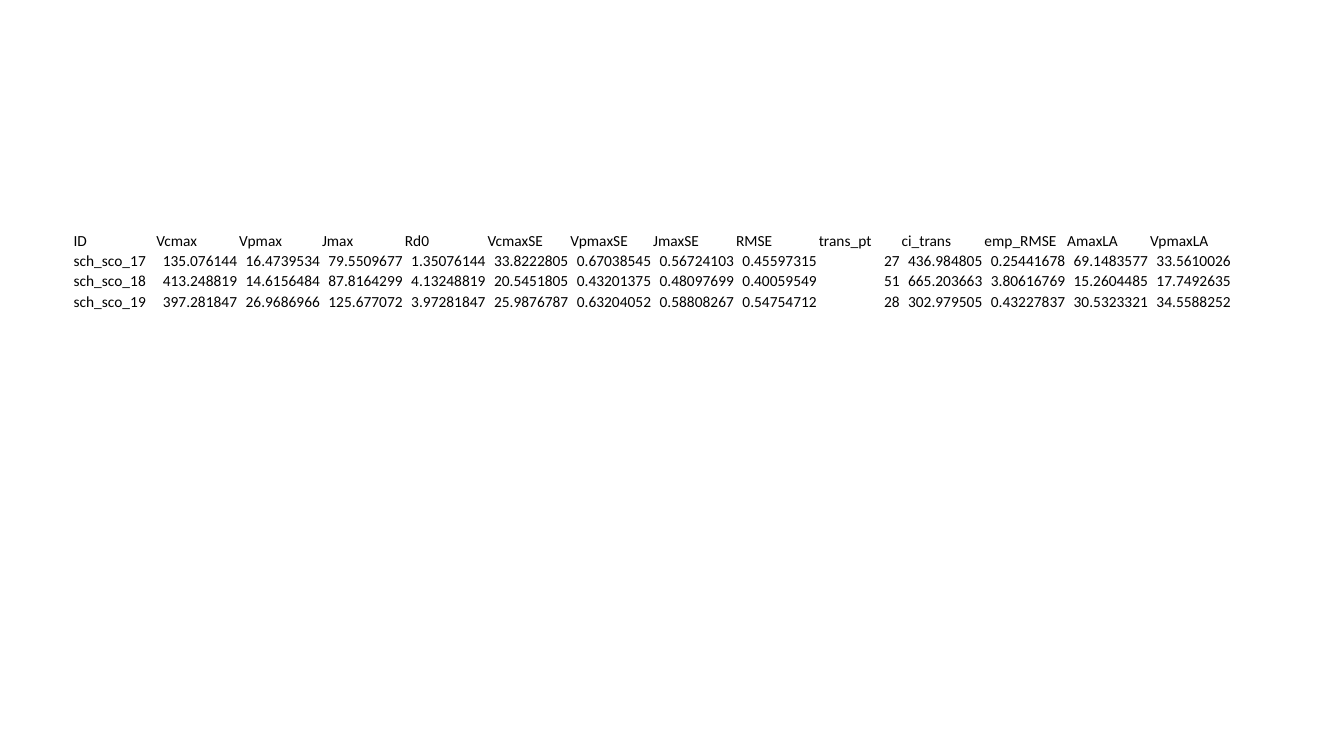
from pptx import Presentation
from pptx.dml.color import RGBColor
from pptx.enum.text import MSO_ANCHOR as Anchor, PP_ALIGN as Align
from pptx.util import Inches, Pt

HEADERS = ["ID", "Vcmax", "Vpmax", "Jmax", "Rd0", "VcmaxSE", "VpmaxSE", "JmaxSE",
           "RMSE", "trans_pt", "ci_trans", "emp_RMSE", "AmaxLA", "VpmaxLA"]
SAMPLES = [
    ["sch_sco_17", "135.076144", "16.4739534", "79.5509677", "1.35076144",
     "33.8222805", "0.67038545", "0.56724103", "0.45597315", "27",
     "436.984805", "0.25441678", "69.1483577", "33.5610026"],
    ["sch_sco_18", "413.248819", "14.6156484", "87.8164299", "4.13248819",
     "20.5451805", "0.43201375", "0.48097699", "0.40059549", "51",
     "665.203663", "3.80616769", "15.2604485", "17.7492635"],
    ["sch_sco_19", "397.281847", "26.9686966", "125.677072", "3.97281847",
     "25.9876787", "0.63204052", "0.58808267", "0.54754712", "28",
     "302.979505", "0.43227837", "30.5323321", "34.5588252"],
]
COLORS = {"text": "000000"}
FONT = "Calibri"
LEFT, TOP, WIDTH, HEIGHT = Inches(0.72), Inches(2.28), Inches(11.5), Inches(0.81)


def write_cell(cell, text, align=Align.LEFT, size=11, color="text"):
    cell.fill.background()
    cell.vertical_anchor = Anchor.BOTTOM
    cell.margin_left = cell.margin_right = cell.margin_top = Inches(0.01)
    cell.margin_bottom = 0
    paragraph = cell.text_frame.paragraphs[0]
    paragraph.alignment = align
    run = paragraph.add_run()
    run.text = text
    run.font.name = FONT
    run.font.size = Pt(size)
    run.font.bold = False
    run.font.color.rgb = RGBColor.from_string(COLORS[color])


def main():
    presentation = Presentation()
    presentation.slide_width = Inches(13.33)
    presentation.slide_height = Inches(7.5)
    slide = presentation.slides.add_slide(presentation.slide_layouts[6])

    rows = [HEADERS] + SAMPLES
    table = slide.shapes.add_table(len(rows), len(HEADERS), LEFT, TOP, WIDTH, HEIGHT).table
    table.first_row = False
    table.horz_banding = False
    for row_index, row in enumerate(rows):
        for column_index, text in enumerate(row):
            is_number = row_index > 0 and column_index > 0
            write_cell(table.cell(row_index, column_index), text,
                       align=Align.RIGHT if is_number else Align.LEFT)

    presentation.save("out.pptx")


if __name__ == "__main__":
    main()
